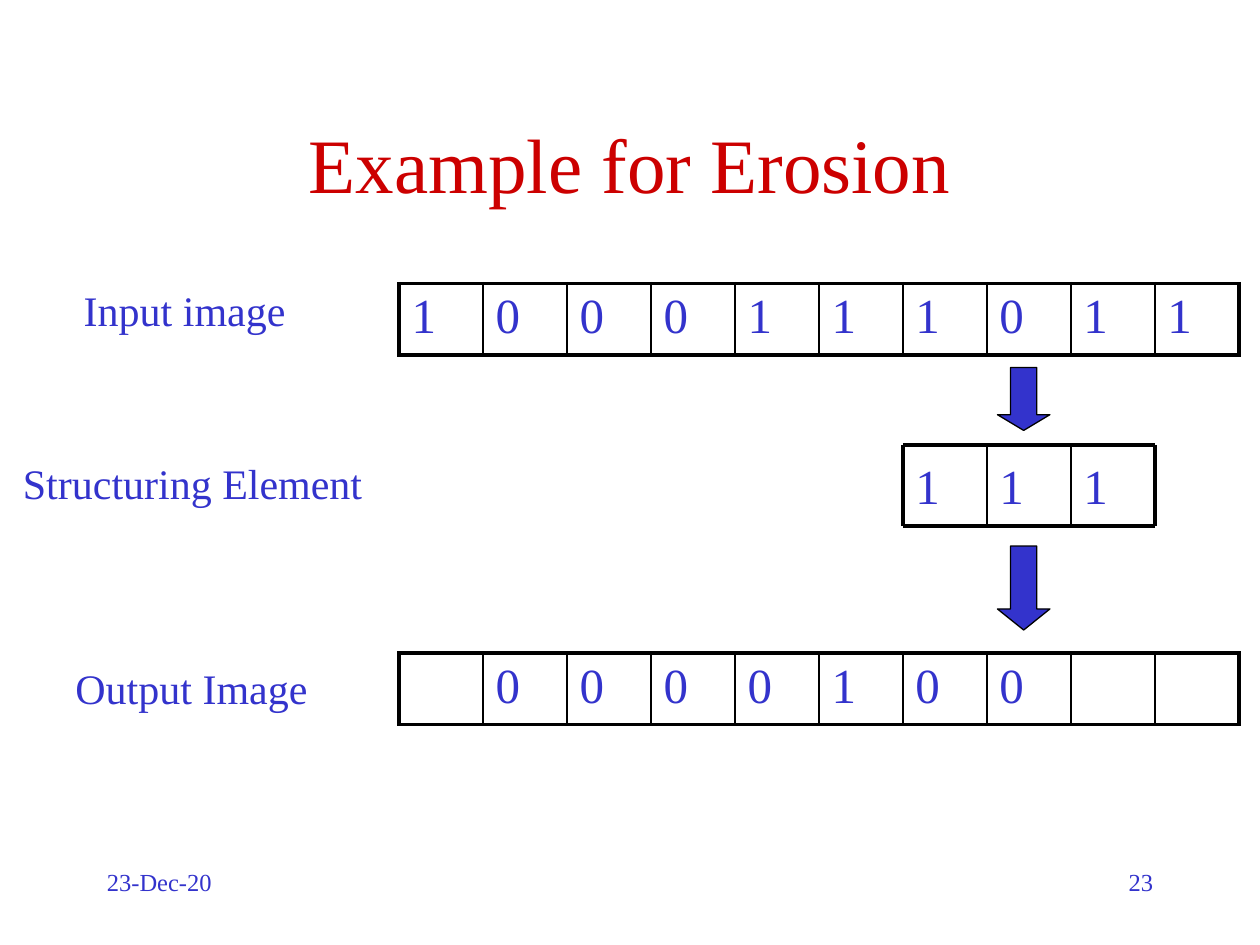
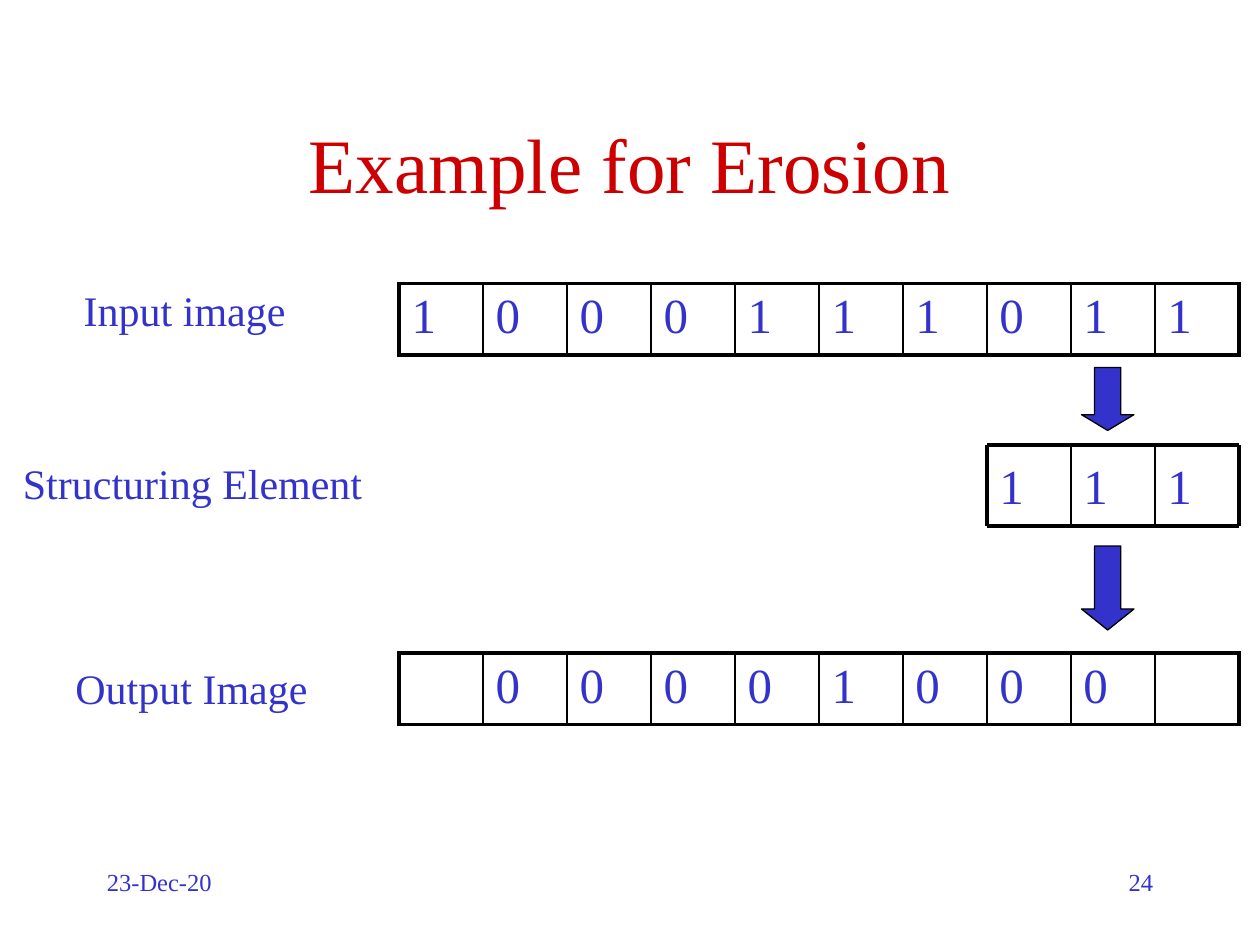
from lxml.etree import SubElement
from pptx import Presentation
from pptx.dml.color import RGBColor
from pptx.enum.shapes import MSO_CONNECTOR as Connector, MSO_SHAPE as Shape
from pptx.enum.text import MSO_ANCHOR as Anchor, PP_ALIGN as Align
from pptx.oxml.ns import qn
from pptx.util import Inches, Pt

FONT = "Times New Roman"
RED, BLUE, BLACK = "CC0000", "3333CC", "000000"
THICK, THIN = Pt(2.25), Pt(1)
color = RGBColor.from_string

presentation = Presentation()
presentation.slide_width, presentation.slide_height = Inches(10), Inches(7.5)
UNIT = presentation.slide_width / 120
CELL = 8
CELLS = 10
GRID_LEFT = 38
STRIP_HEIGHT = 6.8
ELEMENT_TOP, ELEMENT_HEIGHT, ELEMENT_CELLS = 42.4, 7.7, 3


def units(*values):
    return [round(value * UNIT) for value in values]


def write(frame, text, size=28, hex_color=BLUE, align=Align.LEFT, anchor=Anchor.TOP, wrap=True):
    frame.word_wrap = wrap
    frame.vertical_anchor = anchor
    paragraph = frame.paragraphs[0]
    paragraph.alignment = align
    run = paragraph.add_run()
    run.text = text
    run.font.name = FONT
    run.font.size = Pt(size)
    run.font.color.rgb = color(hex_color)


labels = [
    ("Input image", 6.8, 26.5, 21.6),
    ("Structuring Element", 1, 43, 34.7),
    ("Output Image", 6, 62.5, 24.5),
]
arrows = [(35, 6, 0.3), (52, 8, 0.4)]
input_bits = "1000111011"
steps = [("23", 6, " 0000100  "), ("24", 7, " 00001000 ")]

for number, first_cell, output_bits in steps:
    slide = presentation.slides.add_slide(presentation.slide_layouts[6])

    title = slide.shapes.add_textbox(*units(9, 8, 102, 15))
    write(title.text_frame, "Example for Erosion", size=44, hex_color=RED,
          align=Align.CENTER, anchor=Anchor.MIDDLE)
    for text, left, align in [("23-Dec-20", 9, Align.LEFT), (number, 86, Align.RIGHT)]:
        footer = slide.shapes.add_textbox(*units(left, 82, 25, 6))
        write(footer.text_frame, text, size=14, align=align)

    for text, left, top, width in labels:
        label = slide.shapes.add_textbox(*units(left, top, width, 6))
        write(label.text_frame, text, size=24, wrap=False)

    for bits, top in [(input_bits, 27), (output_bits, 62.2)]:
        place = units(GRID_LEFT, top, CELL * CELLS, STRIP_HEIGHT)
        table = slide.shapes.add_table(1, CELLS, *place).table
        table.first_row = table.horz_banding = False
        for index, bit in enumerate(bits):
            cell = table.cell(0, index)
            if bit.strip():
                write(cell.text_frame, bit)
            borders = {
                "a:lnL": THICK if index == 0 else THIN,
                "a:lnR": THICK if index == CELLS - 1 else THIN,
                "a:lnT": THICK,
                "a:lnB": THICK,
            }
            properties = cell._tc.get_or_add_tcPr()
            for side, weight in borders.items():
                border = SubElement(properties, qn(side), w=str(weight))
                fill = SubElement(border, qn("a:solidFill"))
                SubElement(fill, qn("a:srgbClr"), val=BLACK)
            cell.fill.background()

    element = slide.shapes.add_group_shape().shapes
    element_left = GRID_LEFT + CELL * first_cell
    element_right = element_left + CELL * ELEMENT_CELLS
    element_bottom = ELEMENT_TOP + ELEMENT_HEIGHT
    for index in range(ELEMENT_CELLS):
        box = element.add_textbox(
            *units(element_left + CELL * index, ELEMENT_TOP, CELL, ELEMENT_HEIGHT))
        box.text_frame.margin_top = Inches(0.08)
        write(box.text_frame, "1")

    lines = [(element_left, y, element_right, y, THICK) for y in (ELEMENT_TOP, element_bottom)]
    for index in range(ELEMENT_CELLS + 1):
        x = element_left + CELL * index
        weight = THICK if index in (0, ELEMENT_CELLS) else THIN
        lines.append((x, ELEMENT_TOP, x, element_bottom, weight))
    for *ends, weight in lines:
        line = element.add_connector(Connector.STRAIGHT, *units(*ends))
        line.line.color.rgb = color(BLACK)
        line.line.width = weight
        SubElement(line._element.spPr, qn("a:effectLst"))

    for top, height, head in arrows:
        arrow = slide.shapes.add_shape(
            Shape.DOWN_ARROW, *units(element_left + 9, top, 5, height))
        arrow.adjustments[0], arrow.adjustments[1] = 0.5, head
        arrow.shadow.inherit = False
        arrow.fill.solid()
        arrow.fill.fore_color.rgb = color(BLUE)
        arrow.line.color.rgb = color(BLACK)
        arrow.line.width = Pt(0.75)

presentation.save("out.pptx")
